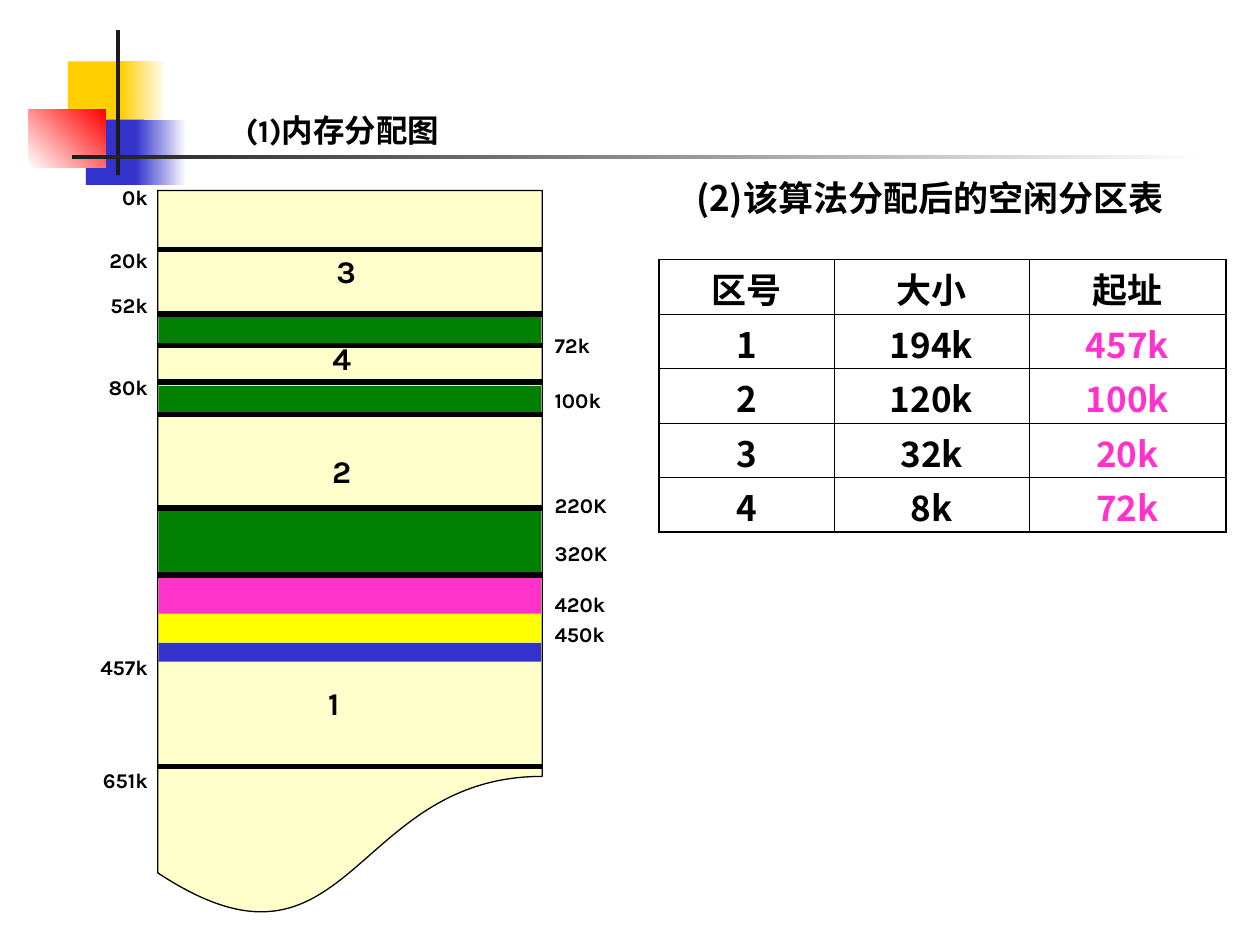
from pptx import Presentation
from pptx.dml.color import RGBColor
from pptx.enum.shapes import MSO_CONNECTOR, MSO_SHAPE
from pptx.enum.text import MSO_ANCHOR, PP_ALIGN
from pptx.oxml.ns import qn
from pptx.util import Cm, Pt
from lxml import etree

RECTANGLE, DOCUMENT = MSO_SHAPE.RECTANGLE, MSO_SHAPE.FLOWCHART_DOCUMENT
STRAIGHT = MSO_CONNECTOR.STRAIGHT
MIDDLE = MSO_ANCHOR.MIDDLE
LEFT, CENTER, RIGHT = PP_ALIGN.LEFT, PP_ALIGN.CENTER, PP_ALIGN.RIGHT

LATIN_FONT, CHINESE_FONT = "Karla", "Noto Sans CJK SC"
BLACK, WHITE, DARK = "000000", "FFFFFF", "1C1C1C"
GOLD, RED, BLUE = "FFCF01", "FF0000", "3333CC"
CREAM, GREEN, PINK, YELLOW = "FFFFCC", "008000", "FF33CC", "FFFF00"
THIN, THICK = 0.45, 1.08

FREE_PARTITIONS = [
    ("区号", "大小", "起址"),
    ("1", "194k", "457k"),
    ("2", "120k", "100k"),
    ("3", "32k", "20k"),
    ("4", "8k", "72k"),
]
# Heights in cm below the top of the memory map
BANDS = [(2.51, 0.58, GREEN), (3.94, 0.53, GREEN), (6.43, 1.3, GREEN),
         (7.8, 0.76, PINK), (8.53, 0.58, YELLOW), (9.12, 0.38, BLUE)]
BOUNDARIES = [1.19, 2.49, 3.12, 3.86, 4.52, 6.4, 7.75, 11.61]
LEFT_ADDRESSES = [("0k", 0.13), ("20k", 1.4), ("52k", 2.31),
                  ("80k", 3.96), ("457k", 9.61), ("651k", 11.88)]
RIGHT_ADDRESSES = [("72k", 3.11), ("100k", 4.22), ("220K", 6.34),
                   ("320K", 7.31), ("420k", 8.34), ("450k", 8.94)]
FREE_BLOCKS = [("3", 3.8, 1.62), ("4", 3.71, 3.38),
               ("2", 3.71, 5.65), ("1", 3.55, 10.33)]


def color(value):
    return RGBColor.from_string(value)


def write_text(frame, text, size=12, font=LATIN_FONT, fill=BLACK, align=LEFT):
    paragraph = frame.paragraphs[0]
    paragraph.alignment = align
    run = paragraph.add_run()
    run.text = text
    run.font.size = Pt(size)
    run.font.bold = True
    run.font.name = font
    run.font.color.rgb = color(fill)
    east_asian = etree.SubElement(run.font._element, qn("a:ea"))
    east_asian.set("typeface", CHINESE_FONT)


def add_label(slide, text, left, middle, width, height=0.8, **text_format):
    """Place a line of text centred vertically on the height `middle`."""
    box = slide.shapes.add_textbox(Cm(left), Cm(middle - height / 2),
                                   Cm(width), Cm(height))
    frame = box.text_frame
    frame.word_wrap = True
    frame.vertical_anchor = MIDDLE
    frame.margin_top = frame.margin_bottom = 0
    write_text(frame, text, **text_format)


def add_block(slide, left, top, width, height, fill, fade_to=None, angle=0,
              kind=RECTANGLE, outline=None):
    block = slide.shapes.add_shape(kind, Cm(left), Cm(top), Cm(width), Cm(height))
    block.shadow.inherit = False
    if fade_to:
        block.fill.gradient()
        block.fill.gradient_angle = angle
        for stop, value in zip(block.fill.gradient_stops, (fill, fade_to)):
            stop.color.rgb = color(value)
    else:
        block.fill.solid()
        block.fill.fore_color.rgb = color(fill)
    if outline:
        block.line.color.rgb = color(outline)
        block.line.width = Pt(0.75)
    else:
        block.line.fill.background()


def add_rule(slide, left, y, width):
    rule = slide.shapes.add_connector(STRAIGHT, Cm(left), Cm(y),
                                      Cm(left + width), Cm(y))
    rule.line.color.rgb = color(BLACK)
    rule.line.width = Pt(3)
    etree.SubElement(rule._element.spPr, qn("a:effectLst"))


def add_ornament(slide, left, top):
    add_block(slide, left + 0.79, top + 0.63, 1.22, 1.32, GOLD)
    add_block(slide, left + 1.86, top + 0.63, 0.91, 1.32, GOLD, WHITE)
    add_block(slide, left + 1.15, top + 1.8, 1.17, 1.32, BLUE)
    add_block(slide, left + 2.16, top + 1.8, 1.02, 1.32, BLUE, WHITE)
    add_block(slide, left, top + 1.6, 1.55, 1.17, WHITE, RED, angle=45)
    add_block(slide, left + 1.76, top, 0.08, 2.92, DARK)
    add_block(slide, left + 0.87, top + 2.51, 22.86, 0.08, DARK, WHITE)


def add_memory_map(slide, left, top, width, height):
    add_block(slide, left, top, width, height, CREAM, kind=DOCUMENT, outline=BLACK)
    for offset, band_height, fill in BANDS:
        add_block(slide, left + 0.02, top + offset, width - 0.04, band_height, fill)
    for offset in BOUNDARIES:
        add_rule(slide, left, top + offset, width)
    for address, offset in LEFT_ADDRESSES:
        add_label(slide, address, left - 2.2, top + offset, 2.25, align=RIGHT)
    for address, offset in RIGHT_ADDRESSES:
        add_label(slide, address, left + width, top + offset, 2.3)
    for number, center, offset in FREE_BLOCKS:
        add_label(slide, number, left + center - 0.5, top + offset, 1,
                  size=18, align=CENTER)


def set_borders(cell, widths):
    properties = cell._tc.get_or_add_tcPr()
    for side, width in zip("LRTB", widths):
        line = etree.SubElement(properties, qn(f"a:ln{side}"), w=str(Pt(width)))
        fill = etree.SubElement(line, qn("a:solidFill"))
        etree.SubElement(fill, qn("a:srgbClr"), val=BLACK)


def add_partition_table(slide, left, top, column_widths, row_height):
    row_count, column_count = len(FREE_PARTITIONS), len(column_widths)
    table = slide.shapes.add_table(
        row_count, column_count, Cm(left), Cm(top),
        Cm(sum(column_widths)), Cm(row_height * row_count)).table
    table.first_row = table.horz_banding = False
    for column, width in zip(table.columns, column_widths):
        column.width = Cm(width)
    for r, values in enumerate(FREE_PARTITIONS):
        table.rows[r].height = Cm(row_height)
        for c, value in enumerate(values):
            cell = table.cell(r, c)
            on_edge = (c == 0, c == column_count - 1, r == 0, r == row_count - 1)
            set_borders(cell, [THICK if edge else THIN for edge in on_edge])
            cell.fill.background()
            cell.margin_top, cell.margin_bottom = Cm(0.07), 0
            is_address = r > 0 and c == column_count - 1
            write_text(cell.text_frame, value, size=20, font=CHINESE_FONT,
                       fill=PINK if is_address else BLACK, align=CENTER)


def main():
    presentation = Presentation()
    presentation.slide_width, presentation.slide_height = Cm(25.4), Cm(19.05)
    slide = presentation.slides.add_slide(presentation.slide_layouts[6])
    add_ornament(slide, 0.58, 0.61)
    add_label(slide, "(1)内存分配图", 4.7, 2.62, 5.64, 1.02, size=18)
    add_label(slide, "(2)该算法分配后的空闲分区表", 12.4, 3.99, 12.7, 1.12,
              size=20, font=CHINESE_FONT, align=CENTER)
    add_memory_map(slide, 3.18, 3.84, 7.75, 14.73)
    add_partition_table(slide, 13.28, 5.23, (3.53, 3.94, 3.96), 1.1)
    presentation.save("out.pptx")


if __name__ == "__main__":
    main()
